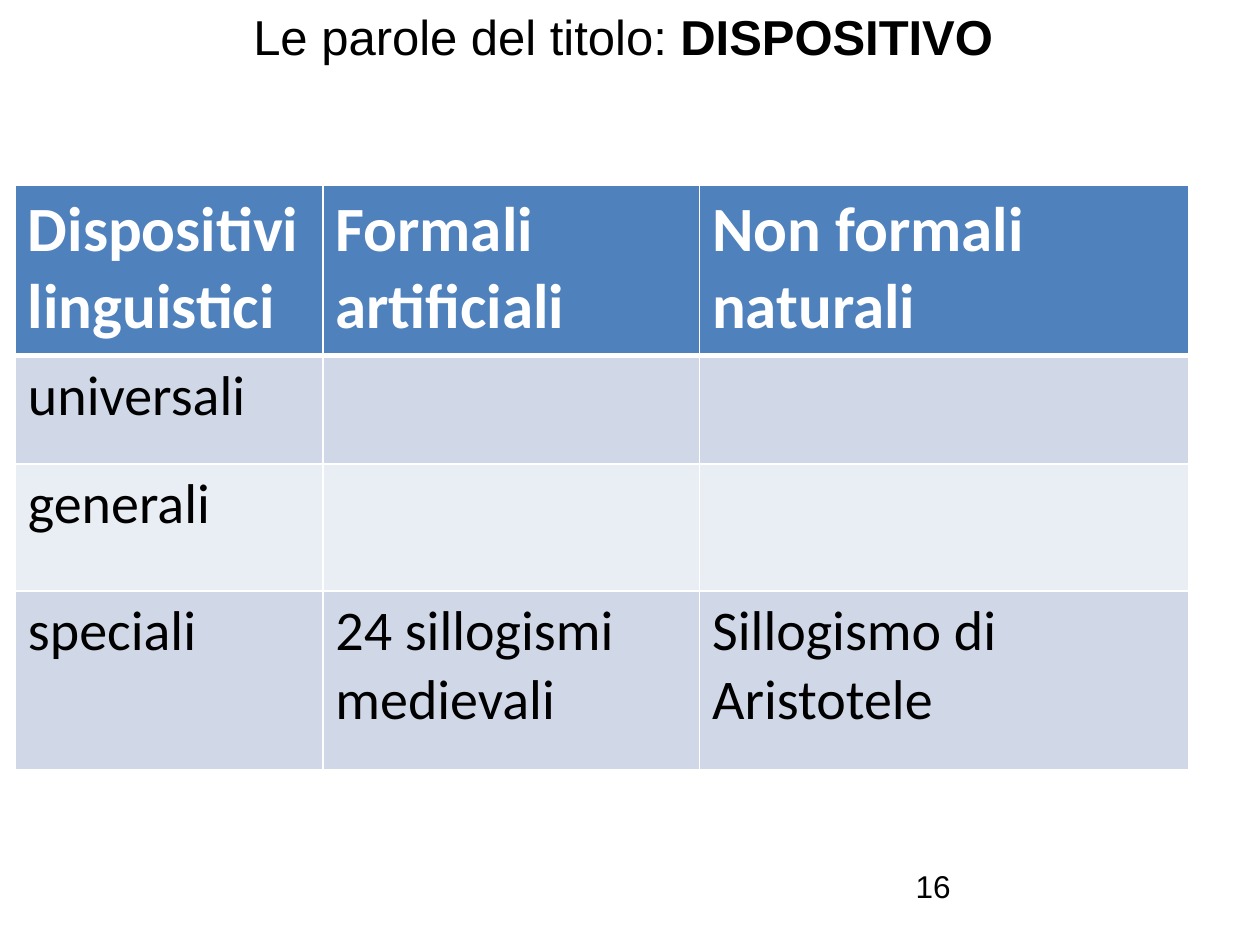
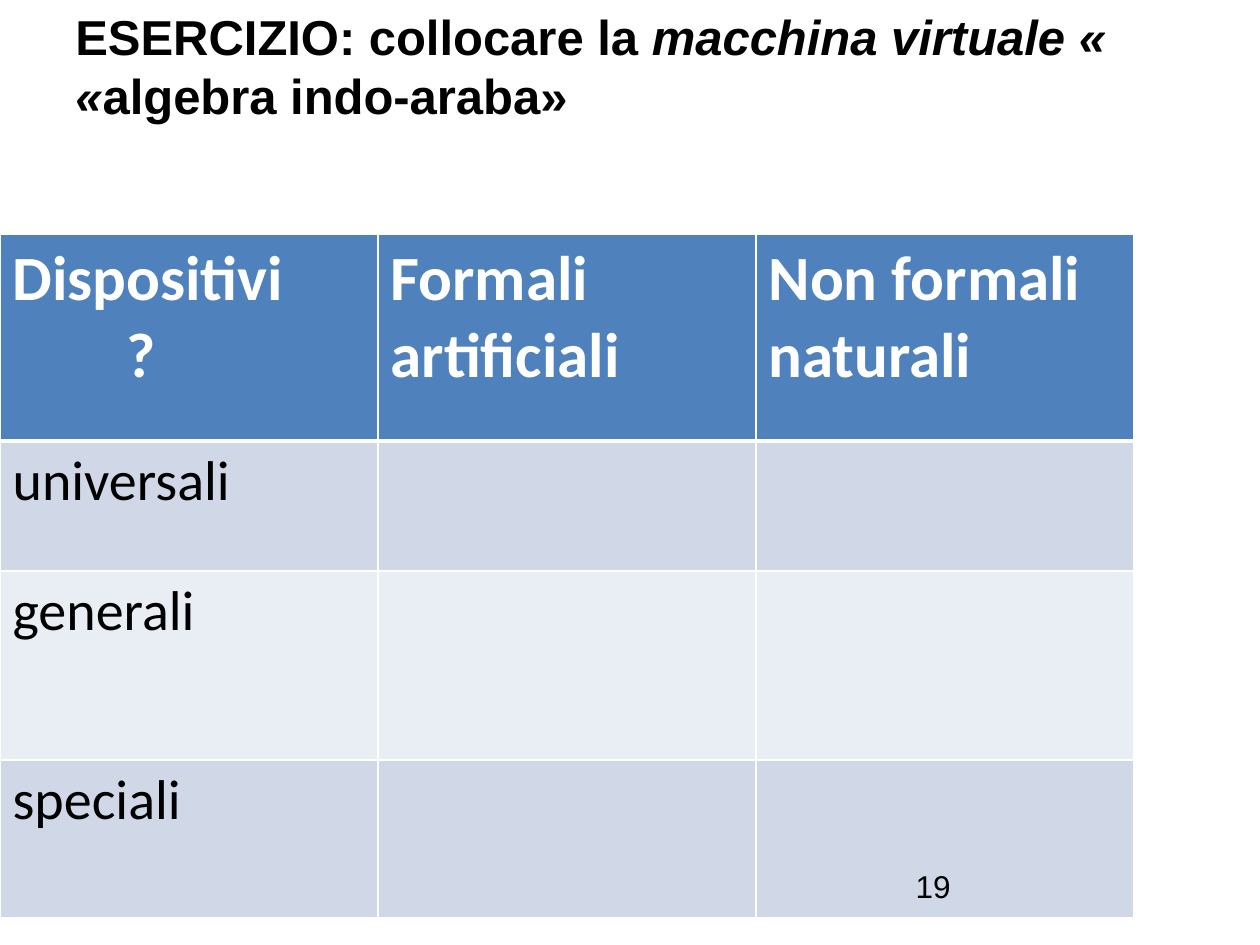
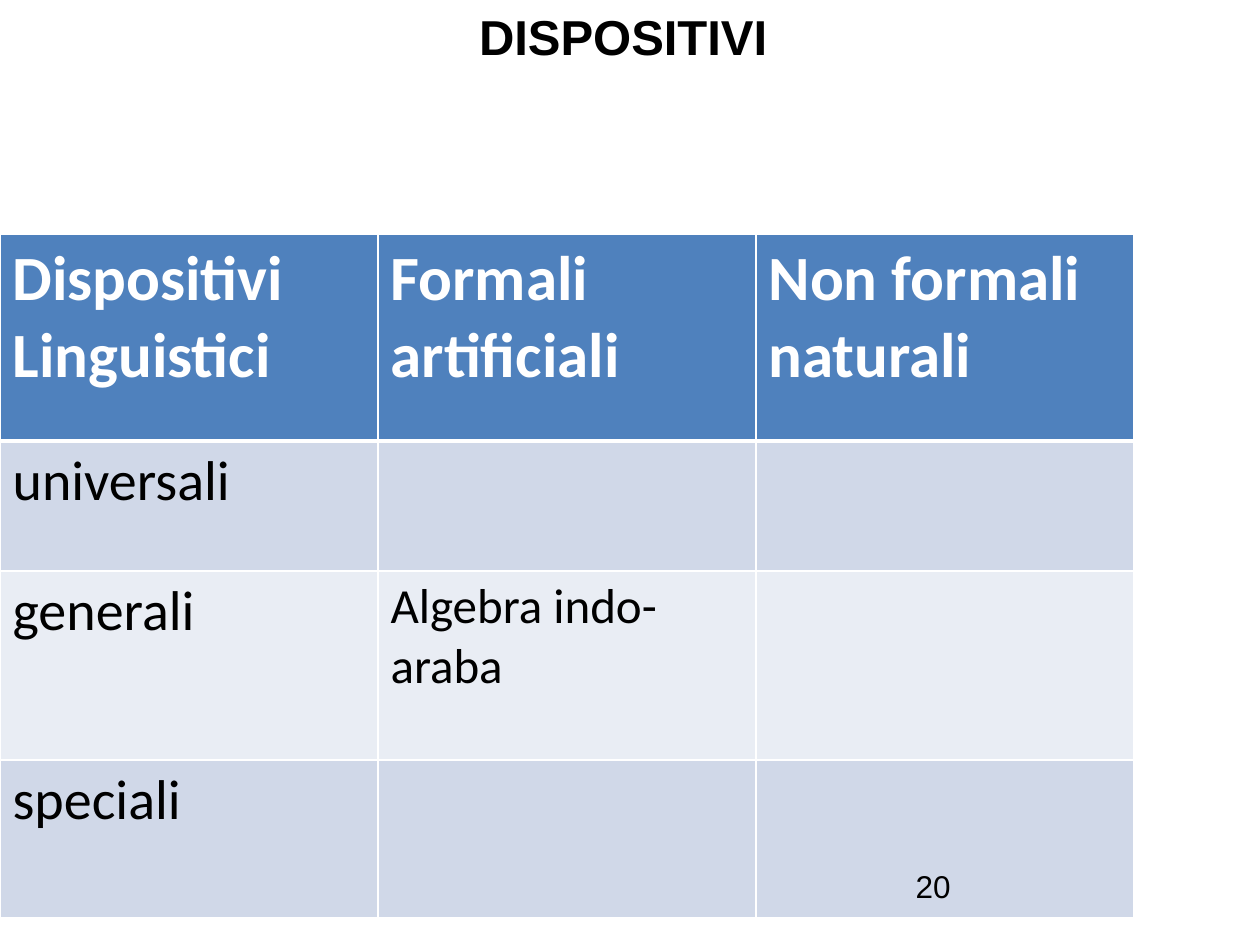
"""Build three slides that classify linguistic devices in a table."""
import dataclasses
import typing

import lxml.etree
import pptx
import pptx.dml.color
import pptx.enum.text
import pptx.oxml.ns
import pptx.slide
import pptx.table
import pptx.text.text
import pptx.util

Pt = pptx.util.Pt
ALIGN = pptx.enum.text.PP_ALIGN
COLORS = {
    "text": "000000",
    "white": "FFFFFF",
    "header": "4F81BD",
    "odd": "D0D8E8",
    "even": "E9EDF4",
}
TITLE = {"name": "Arial", "size": Pt(28)}
NUMBER = {"name": "Arial", "size": Pt(18)}
HEADER = {"name": "Calibri", "size": Pt(36), "bold": True}
BODY = {"name": "Calibri", "size": Pt(32), "bold": False}
BOLD = {"bold": True}
BOLD_ITALIC = {"bold": True, "italic": True}
COLUMN_HEADS = ("Formali\nartificiali", "Non formali\nnaturali")
ROW_HEADS = ("universali", "generali", "speciali")


@dataclasses.dataclass(frozen=True)
class Run:
    """A piece of text with its own format values."""

    text: str
    fmt: dict[str, typing.Any] = dataclasses.field(default_factory=dict)


@dataclasses.dataclass(frozen=True)
class Grid:
    """Place, column widths and row heights of a table in points."""

    left: float
    top: float
    cols: tuple[float, ...]
    rows: tuple[float, ...]


@dataclasses.dataclass(frozen=True)
class Page:
    """Content of one slide."""

    title: tuple[Run, ...]
    align: ALIGN
    title_height: float
    grid: Grid
    corner: str
    number: int
    entries: dict[tuple[int, int], Run] = dataclasses.field(default_factory=dict)
    corner_indent: float = 0


def rgb(name: str) -> pptx.dml.color.RGBColor:
    """Return the named colour."""
    return pptx.dml.color.RGBColor.from_string(COLORS[name])


def add_run(p: pptx.text.text._Paragraph, run: Run, base: dict, color: str) -> None:
    """Append a run with the base format and its own values."""
    r = p.add_run()
    r.text = run.text
    for key, value in {**base, **run.fmt}.items():
        setattr(r.font, key, value)
    r.font.color.rgb = rgb(color)


def add_text(s: pptx.slide.Slide, box: tuple[float, ...], runs: tuple[Run, ...],
             base: dict, align: ALIGN = ALIGN.LEFT) -> None:
    """Add a wrapped one-paragraph text box."""
    tf = s.shapes.add_textbox(*map(Pt, box)).text_frame
    tf.word_wrap = True
    p = tf.paragraphs[0]
    p.alignment = align
    for run in runs:
        add_run(p, run, base, "text")


def set_borders(cell: pptx.table._Cell, widths: dict[str, float]) -> None:
    """Draw white cell borders of the given widths."""
    tc_pr = cell._tc.get_or_add_tcPr()
    qn = pptx.oxml.ns.qn
    for side, width in widths.items():
        ln = lxml.etree.SubElement(tc_pr, qn(f"a:ln{side}"), w=str(Pt(width)))
        fill = lxml.etree.SubElement(ln, qn("a:solidFill"))
        lxml.etree.SubElement(fill, qn("a:srgbClr"), val=COLORS["white"])


def fill_cell(cell: pptx.table._Cell, row: int, run: Run) -> None:
    """Style a cell by its row and write its lines."""
    set_borders(cell, {"L": 1, "R": 1, "T": 3 if row == 1 else 1,
                       "B": 3 if row == 0 else 1})
    cell.fill.solid()
    cell.fill.fore_color.rgb = rgb(
        "header" if row == 0 else "odd" if row % 2 else "even")
    base, color = (HEADER, "white") if row == 0 else (BODY, "text")
    tf = cell.text_frame
    for i, line in enumerate(run.text.splitlines()):
        p = tf.add_paragraph() if i else tf.paragraphs[0]
        add_run(p, Run(line, run.fmt), base, color)


def add_grid(s: pptx.slide.Slide, page: Page) -> None:
    """Add the table of devices."""
    grid = page.grid
    table = s.shapes.add_table(
        len(grid.rows), len(grid.cols), Pt(grid.left), Pt(grid.top),
        Pt(sum(grid.cols)), Pt(sum(grid.rows))).table
    for column, width in zip(table.columns, grid.cols):
        column.width = Pt(width)
    heads = {(0, c): Run(text) for c, text in enumerate((page.corner, *COLUMN_HEADS))}
    labels = {(r, 0): Run(text) for r, text in enumerate(ROW_HEADS, 1)}
    texts = {**heads, **labels, **page.entries}
    for r, height in enumerate(grid.rows):
        table.rows[r].height = Pt(height)
        for c in range(len(grid.cols)):
            fill_cell(table.cell(r, c), r, texts.get((r, c), Run("")))
    if page.corner_indent:
        p = table.cell(0, 0).text_frame.paragraphs[-1]
        p._p.get_or_add_pPr().set("marL", str(Pt(page.corner_indent)))


def add_page(prs: pptx.presentation.Presentation, page: Page) -> None:
    """Add a slide with its title, table and number."""
    s = prs.slides.add_slide(prs.slide_layouts[6])
    add_text(s, (36, 0, 648, page.title_height), page.title, TITLE, page.align)
    add_grid(s, page)
    add_text(s, (516.2, 491.8, 167.8, 37.4), (Run(str(page.number)),), NUMBER)


WIDE = Grid(8.8, 106, (175.7, 215.3, 279.4), (97.2, 61.9, 72.7, 102.2))
EVEN = Grid(0, 134, (216,) * 3, (118, 74.2, 108, 90))
PAGES = (
    Page((Run("Le parole del titolo: "), Run("DISPOSITIVO ", BOLD)),
         ALIGN.CENTER, 60.5, WIDE, "Dispositivi\nlinguistici", 16,
         {(3, 1): Run("24 sillogismi medievali"),
          (3, 2): Run("Sillogismo di Aristotele")}),
    Page((Run("ESERCIZIO: collocare la ", BOLD),
          Run("macchina virtuale « «", BOLD_ITALIC),
          Run("algebra indo-araba»", BOLD)),
         ALIGN.LEFT, 106, EVEN, "Dispositivi\n?", 19, corner_indent=65),
    Page((Run("DISPOSITIVI ", BOLD),), ALIGN.CENTER, 60.5, EVEN,
         "Dispositivi\nLinguistici", 20,
         {(2, 1): Run("Algebra indo-araba", {"size": Pt(28)})}),
)


def main() -> None:
    """Build and save the presentation."""
    prs = pptx.Presentation()
    prs.slide_width, prs.slide_height = Pt(720), Pt(540)
    for page in PAGES:
        add_page(prs, page)
    prs.save("out.pptx")


main()
